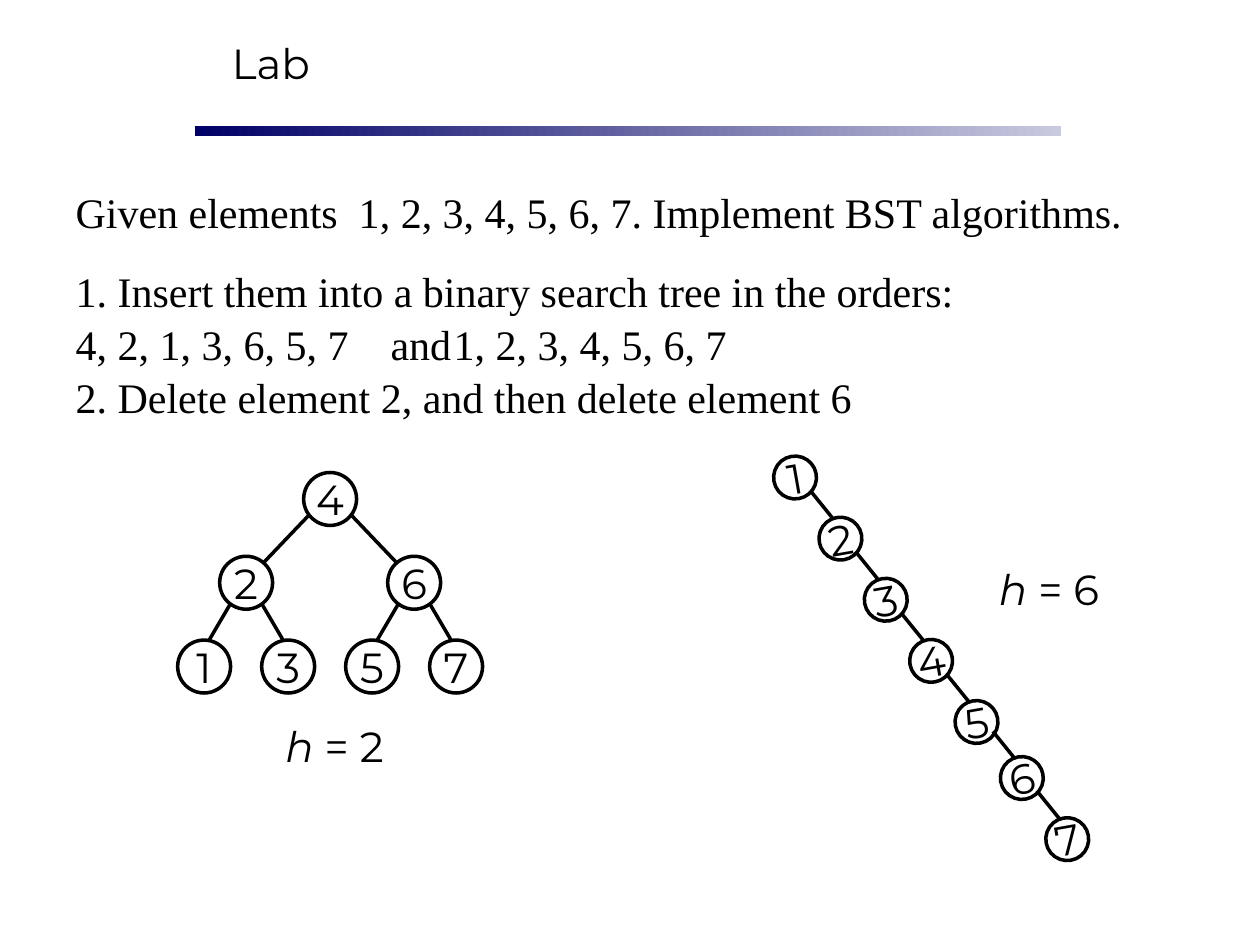
from lxml.etree import SubElement
from pptx import Presentation
from pptx.dml.color import RGBColor
from pptx.enum.shapes import MSO_CONNECTOR, MSO_SHAPE
from pptx.enum.text import MSO_ANCHOR, MSO_AUTO_SIZE, PP_ALIGN
from pptx.oxml.ns import qn
from pptx.util import Inches, Pt

INK = "000000"
SANS = "Montserrat"
SERIF = "Times New Roman"
TASK = [
    "Given elements  1, 2, 3, 4, 5, 6, 7. Implement BST algorithms.",
    "1. Insert them into a binary search tree in the orders:",
    "4, 2, 1, 3, 6, 5, 7\tand\t1, 2, 3, 4, 5, 6, 7",
    "2. Delete element 2, and then delete element 6",
]


def color(hex_code):
    return RGBColor.from_string(hex_code)


def inches(*lengths):
    return [Inches(length) for length in lengths]


def style(paragraph, font, align=PP_ALIGN.LEFT):
    paragraph.alignment = align
    for run in paragraph.runs:
        run.font.size = Pt(24)
        run.font.name = font
        run.font.color.rgb = color(INK)


def place(holder, left, top, width, height):
    holder.left, holder.top, holder.width, holder.height = inches(left, top, width, height)
    holder.text_frame.auto_size = MSO_AUTO_SIZE.NONE
    holder.text_frame.vertical_anchor = MSO_ANCHOR.TOP


def add_heading(slide, left, top, width, height):
    title = slide.shapes.title
    place(title, left, top, width, height)
    title.text_frame.text = "Lab"
    style(title.text_frame.paragraphs[0], SANS)


def add_rule(slide, left, top, width, height):
    rule = slide.shapes.add_shape(MSO_SHAPE.RECTANGLE, *inches(left, top, width, height))
    rule.shadow.inherit = False
    rule.line.fill.background()
    rule.fill.gradient()
    rule.fill.gradient_angle = 0
    for stop, shade in zip(rule.fill.gradient_stops, ("000066", "C9C9DF")):
        stop.color.rgb = color(shade)


def add_task(slide, left, top, width, height):
    task = slide.placeholders[1]
    place(task, left, top, width, height)
    task.text_frame.text = "\n".join(TASK)
    for index, paragraph in enumerate(task.text_frame.paragraphs):
        style(paragraph, SERIF)
        paragraph.space_before = Pt(15 if index < 2 else 0)
        paragraph.line_spacing = 1.05
        properties = paragraph._p.get_or_add_pPr()
        properties.set("marL", "0")
        properties.set("indent", "0")
        SubElement(properties, qn("a:buNone"))
        if "\t" in TASK[index]:
            stops = SubElement(properties, qn("a:tabLst"))
            for position in (3.08, 4.65):
                SubElement(stops, qn("a:tab"), pos=str(Inches(position)), algn="l")


def add_node(tree, key, left, top, size, rotation=0):
    node = tree.shapes.add_shape(MSO_SHAPE.OVAL, *inches(left, top, size, size))
    node.shadow.inherit = False
    node.rotation = rotation
    node.fill.background()
    node.line.color.rgb = color(INK)
    node.line.width = Pt(2)
    node.text_frame.word_wrap = False
    node.text_frame.vertical_anchor = MSO_ANCHOR.MIDDLE
    node.text_frame.text = str(key)
    style(node.text_frame.paragraphs[0], SANS, PP_ALIGN.CENTER)


def add_edge(tree, *ends):
    edge = tree.shapes.add_connector(MSO_CONNECTOR.STRAIGHT, *inches(*ends))
    edge.line.color.rgb = color(INK)
    edge.line.width = Pt(2)
    SubElement(edge._element.spPr, qn("a:effectLst"))


def add_balanced_tree(slide, left, top, width, height):
    tree = slide.shapes.add_group_shape()
    size = 0.42
    leaf_step = (width - size) / 3
    level_step = (height - size) / 2
    levels = [[4], [2, 6], [1, 3, 5, 7]]
    edge_offsets = [(0.16, 0.12, 0.13, 0.15), (0.12, 0.16, 0.04, 0.21)]

    def center(level, index):
        span = 2 ** (2 - level)
        x = left + size / 2 + leaf_step * (span * index + (span - 1) / 2)
        return x, top + size / 2 + level_step * level

    for level, keys in enumerate(levels):
        for index, key in enumerate(keys):
            x, y = center(level, index)
            add_node(tree, key, x - size / 2, y - size / 2, size)
            if level:
                parent_x, parent_y = center(level - 1, index // 2)
                out_x, out_y, in_x, in_y = edge_offsets[level - 1]
                side = 1 if index % 2 else -1
                add_edge(tree, parent_x + side * out_x, parent_y + out_y,
                         x - side * in_x, y - in_y)


def add_chain_tree(slide, left, top):
    tree = slide.shapes.add_group_shape()
    for index in range(7):
        x = left + 0.36 * index
        y = top + 0.485 * index - (0.04 if index > 4 else 0)
        add_node(tree, index + 1, x, y, 0.34, rotation=350)
        if index:
            add_edge(tree, x - 0.06, y - 0.2, x + 0.11, y + 0.01)


def add_height_label(slide, tree_height, left, top, width, height):
    label = slide.shapes.add_textbox(*inches(left, top, width, height))
    label.text_frame.word_wrap = True
    paragraph = label.text_frame.paragraphs[0]
    for text in ("h", f" = {tree_height}"):
        paragraph.add_run().text = text
    style(paragraph, SANS, PP_ALIGN.CENTER)
    paragraph.runs[0].font.italic = True


def main():
    deck = Presentation()
    deck.slide_width, deck.slide_height = inches(10, 7.5)
    slide = deck.slides.add_slide(deck.slide_layouts[1])
    add_rule(slide, 1.55, 1, 6.87, 0.08)
    add_heading(slide, 1.74, 0.25, 4.42, 0.5)
    add_task(slide, 0.5, 1.41, 8.67, 1.91)
    add_balanced_tree(slide, 1.41, 3.75, 2.42, 1.75)
    add_height_label(slide, 2, 1.74, 5.67, 1.83, 0.5)
    add_chain_tree(slide, 6.14, 3.62)
    add_height_label(slide, 6, 7.49, 4.42, 1.67, 0.5)
    deck.save("out.pptx")


if __name__ == "__main__":
    main()
